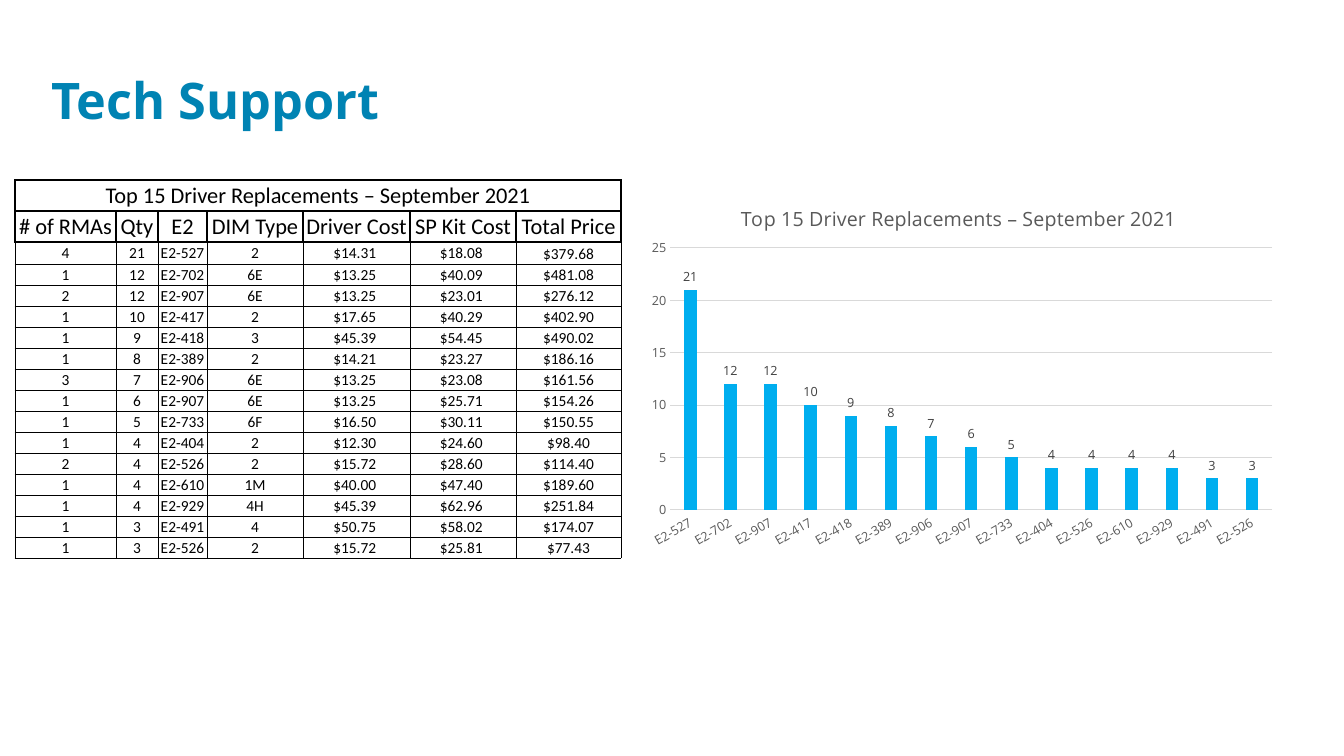
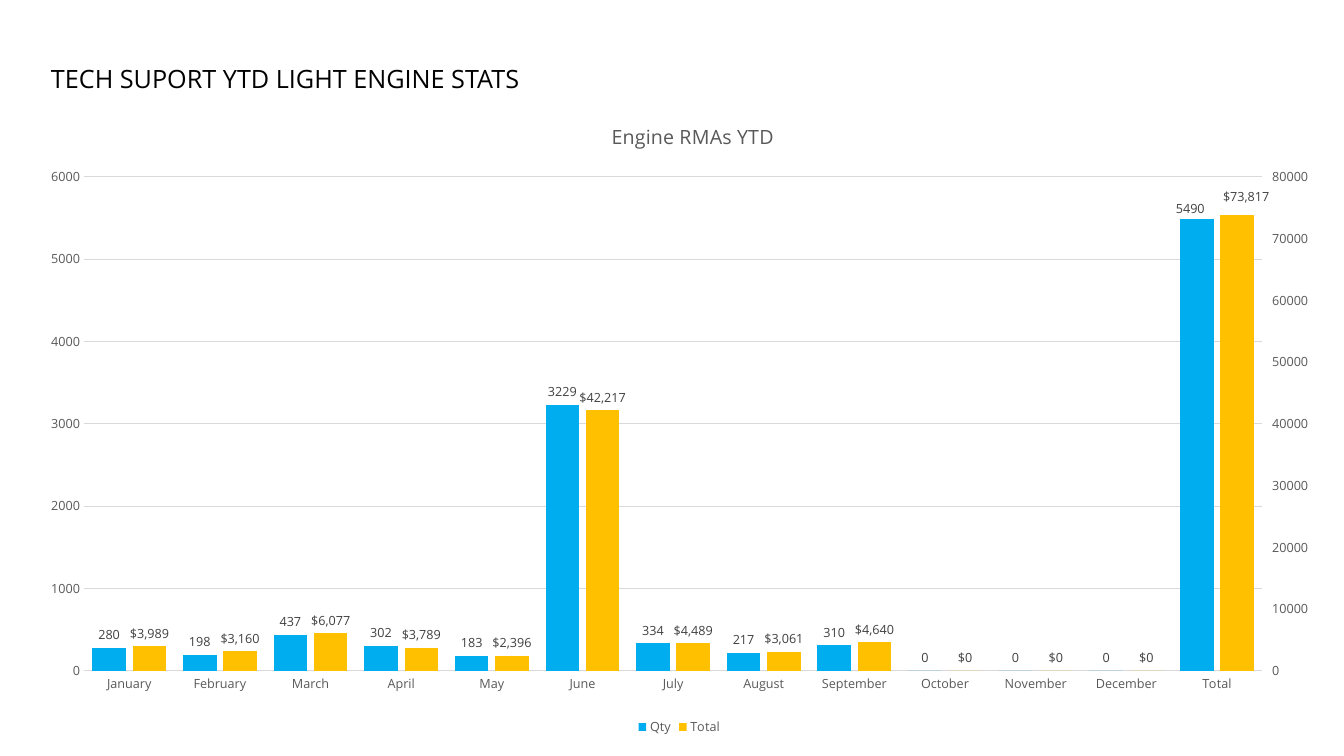
from copy import deepcopy

from pptx import Presentation
from pptx import util as u
from pptx.chart import axis as axes
from pptx.chart import data as chart_data
from pptx.dml.color import RGBColor
from pptx.enum import chart as kinds
from pptx.enum import text
from pptx.oxml import parse_xml
from pptx.oxml.ns import nsdecls, qn

SCALE = 914400 / 100.8
BLACK, TITLE_BLUE, GRAY, LABEL, GRID = "000000", "0083B3", "595959", "404040", "D9D9D9"
BLUE, PINK, YELLOW, GOLD = "00AEEF", "EA428A", "EED500", "FFC000"


def px(length):
    return u.Emu(round(length * SCALE))


def rgb(value):
    return RGBColor.from_string(value)


def set_font(font, size, color, name="Open Sans", bold=False):
    font.size, font.name, font.bold = u.Pt(size), name, bold
    font.color.rgb = rgb(color)


def write(frame, words, align=text.PP_ALIGN.LEFT, spacing=None, **style):
    para = frame.paragraphs[0]
    para.alignment = align
    if spacing:
        para.line_spacing = spacing
    span = para.add_run()
    span.text = words
    set_font(span.font, **style)


def set_borders(cell, top, other):
    props = cell._tc.get_or_add_tcPr()
    widths = {"lnL": other, "lnR": other, "lnT": top, "lnB": other}
    for index, (side, width) in enumerate(widths.items()):
        props.insert(index, parse_xml(
            f'<a:{side} {nsdecls("a")} w="{u.Pt(width)}"><a:solidFill>'
            f'<a:srgbClr val="{BLACK}"/></a:solidFill></a:{side}>'))


def set_layout(parent, index, **values):
    old = parent.find(qn("c:layout"))
    if old is not None:
        parent.remove(old)
    parts = "".join(f'<c:{key} val="{value}"/>' for key, value in values.items())
    parent.insert(index, parse_xml(
        f'<c:layout {nsdecls("c")}><c:manualLayout>{parts}</c:manualLayout></c:layout>'))


def relative(frame, left, top):
    return {"xMode": "edge", "yMode": "edge",
            "x": round((left - frame[0]) / frame[2], 4),
            "y": round((top - frame[1]) / frame[3], 4)}


class Deck:
    def __init__(self, width, height):
        self.deck = Presentation()
        self.deck.slide_width, self.deck.slide_height = u.Inches(width), u.Inches(height)

    def add_page(self, layout):
        self.page = self.deck.slides.add_slide(self.deck.slide_layouts.get_by_name(layout))

    def title(self, words, left, top, width, height):
        box = self.page.shapes.title
        box.left, box.top, box.width, box.height = map(px, (left, top, width, height))
        box.text_frame.vertical_anchor = text.MSO_ANCHOR.BOTTOM
        write(box.text_frame, words, spacing=0.8, size=36, color=TITLE_BLUE, bold=True)

    def label(self, words, left, top, width, height, size):
        box = self.page.shapes.add_textbox(*map(px, (left, top, width, height)))
        box.text_frame.word_wrap = True
        write(box.text_frame, words, size=size, color=BLACK)

    def table(self, rows, left, top, widths, heights):
        frame = self.page.shapes.add_table(
            len(rows), len(widths), *map(px, (left, top, sum(widths), sum(heights))))
        table = frame.table
        table.first_row = table.horz_banding = False
        for column, width in zip(table.columns, widths):
            column.width = px(width)
        for row, height in zip(table.rows, heights):
            row.height = px(height)
        for r, values in enumerate(rows):
            header = r < 2
            for c in range(len(widths)):
                cell = table.cell(r, c)
                cell.margin_left = cell.margin_right = cell.margin_top = px(1)
                cell.margin_bottom = 0
                bottom = not header and c == len(widths) - 1
                cell.vertical_anchor = text.MSO_ANCHOR.BOTTOM if bottom else text.MSO_ANCHOR.MIDDLE
                cell.fill.background()
                set_borders(cell, 1.5 if r < 3 else 0.5, 1.5 if header else 0.5)
                if c < len(values):
                    write(cell.text_frame, values[c], align=text.PP_ALIGN.CENTER,
                          size=16 if header else 11, color=BLACK, name="Calibri")
        table.cell(0, 0).merge(table.cell(0, len(widths) - 1))

    def chart(self, heading, frame, heading_at, plot_at, categories, series,
              gap, overlap, maximum, step):
        source = chart_data.CategoryChartData()
        source.categories = categories
        for name, values, color, label_format in series:
            source.add_series(name, values)
        chart = self.page.shapes.add_chart(
            kinds.XL_CHART_TYPE.COLUMN_CLUSTERED, *map(px, frame), source).chart
        set_font(chart.font, 10, BLACK)
        chart.has_legend = False
        chart.has_title = True
        write(chart.chart_title.text_frame, heading, align=text.PP_ALIGN.CENTER,
              size=14, color=GRAY)
        set_layout(chart.chart_title._element, 1, **relative(frame, *heading_at))
        left, top, width, height = plot_at
        set_layout(chart._chartSpace.chart.plotArea, 0, layoutTarget="inner",
                   **relative(frame, left, top),
                   w=round(width / frame[2], 4), h=round(height / frame[3], 4))
        plot = chart.plots[0]
        plot.gap_width, plot.overlap, plot.vary_by_categories = gap, overlap, False
        for bars, (name, values, color, label_format) in zip(plot.series, series):
            bars.invert_if_negative = False
            bars.format.fill.solid()
            bars.format.fill.fore_color.rgb = rgb(color)
            if label_format:
                labels = bars.data_labels
                labels.show_value = True
                labels.position = kinds.XL_LABEL_POSITION.OUTSIDE_END
                labels.number_format, labels.number_format_is_linked = label_format, False
                set_font(labels.font, 9, LABEL)
        for axis in (chart.category_axis, chart.value_axis):
            axis.major_tick_mark = axis.minor_tick_mark = kinds.XL_TICK_MARK.NONE
            set_font(axis.tick_labels.font, 9, GRAY)
        chart.value_axis.maximum_scale, chart.value_axis.minimum_scale = maximum, 0
        chart.value_axis.major_unit = step
        chart.value_axis.format.line.fill.background()
        chart.value_axis.has_major_gridlines = True
        for line in (chart.category_axis.format.line,
                     chart.value_axis.major_gridlines.format.line):
            line.color.rgb, line.width = rgb(GRID), u.Pt(0.75)
        return chart

    def legend(self, chart, hidden):
        chart.has_legend = True
        chart.legend.position = kinds.XL_LEGEND_POSITION.BOTTOM
        chart.legend.include_in_layout = False
        set_font(chart.legend.font, 9, GRAY)
        for place, index in enumerate(hidden, 1):
            chart.legend._element.insert(place, parse_xml(
                f'<c:legendEntry {nsdecls("c")}><c:idx val="{index}"/>'
                '<c:delete val="1"/></c:legendEntry>'))

    def shift_label(self, bars, index, x, y, label_format):
        label = bars.points[index].data_label
        label.position = kinds.XL_LABEL_POSITION.OUTSIDE_END
        set_font(label.font, 9, LABEL)
        element = bars.data_labels._element.find(qn("c:dLbl"))
        set_layout(element, 1, x=x, y=y)
        code = parse_xml(f'<c:numFmt {nsdecls("c")} sourceLinked="0"/>')
        code.set("formatCode", label_format)
        element.insert(2, code)

    def second_axis(self, chart, first, maximum, step):
        bars = chart.plots[0]._element
        right_bars = deepcopy(bars)
        bars.addnext(right_bars)
        for group, kept in ((bars, range(first)), (right_bars, range(first, 99))):
            for index, item in enumerate(group.findall(qn("c:ser"))):
                if index not in kept:
                    group.remove(item)
        ids = {chart.category_axis._element.find(qn("c:axId")).get("val"): "5001",
               chart.value_axis._element.find(qn("c:axId")).get("val"): "5002"}
        category = deepcopy(chart.category_axis._element)
        value = deepcopy(chart.value_axis._element)
        chart.value_axis._element.addnext(value)
        value.addnext(category)
        for element in (right_bars, category, value):
            for tag in ("c:axId", "c:crossAx"):
                for item in element.findall(qn(tag)):
                    item.set("val", ids[item.get("val")])
        axes.CategoryAxis(category).visible = False
        right = axes.ValueAxis(value)
        right.has_major_gridlines = False
        right.maximum_scale, right.major_unit = maximum, step
        right.major_tick_mark = kinds.XL_TICK_MARK.OUTSIDE
        value.find(qn("c:axPos")).set("val", "r")
        value.find(qn("c:crosses")).set("val", "max")

    def save(self):
        self.deck.save("out.pptx")


DRIVERS_HEADING = "Top 15 Driver Replacements – September 2021"
DRIVERS = [line.split() for line in """\
4 21 E2-527 2 14.31 18.08 379.68
1 12 E2-702 6E 13.25 40.09 481.08
2 12 E2-907 6E 13.25 23.01 276.12
1 10 E2-417 2 17.65 40.29 402.90
1 9 E2-418 3 45.39 54.45 490.02
1 8 E2-389 2 14.21 23.27 186.16
3 7 E2-906 6E 13.25 23.08 161.56
1 6 E2-907 6E 13.25 25.71 154.26
1 5 E2-733 6F 16.50 30.11 150.55
1 4 E2-404 2 12.30 24.60 98.40
2 4 E2-526 2 15.72 28.60 114.40
1 4 E2-610 1M 40.00 47.40 189.60
1 4 E2-929 4H 45.39 62.96 251.84
1 3 E2-491 4 50.75 58.02 174.07
1 3 E2-526 2 15.72 25.81 77.43""".splitlines()]
PERIODS = ["January", "February", "March", "April", "May", "June", "July", "August",
           "September", "October", "November", "December", "Total"]
QUANTITIES = [280, 198, 437, 302, 183, 3229, 334, 217, 310, 0, 0, 0, 5490]
TOTALS = [3989, 3160, 6077, 3789, 2396, 42217, 4489, 3061, 4640, 0, 0, 0, 73817]
PLAIN, DOLLARS = "General", '"$"#,##0'

show = Deck(13.33, 7.5)

show.add_page("Title Only")
show.title("Tech Support", 41, 33, 958, 101)
headers = ["# of RMAs", "Qty", "E2", "DIM Type", "Driver Cost", "SP Kit Cost", "Total Price"]
body = [row[:4] + [f"${row[4]} ", f"${row[5]} ", f"${row[6]}"] for row in DRIVERS]
show.table([[DRIVERS_HEADING], headers] + body, 15, 180,
           [101, 42, 49, 96, 107, 106, 105], [31, 31, 22] + [21] * 14)
drivers = show.chart(
    DRIVERS_HEADING, (638, 179, 647, 378), (737, 200), (670, 248, 602, 262),
    [row[2] for row in DRIVERS],
    [("Series 1", [int(row[1]) for row in DRIVERS], BLUE, PLAIN)],
    gap=219, overlap=-27, maximum=25, step=5)
drivers.category_axis._element.find(qn("c:txPr")).find(qn("a:bodyPr")).set("rot", "-1800000")

show.add_page("Blank")
show.label("TECH SUPORT YTD LIGHT ENGINE STATS", 41, 58, 580, 40, 18)
empty = [None] * len(PERIODS)
engines = show.chart(
    "Engine RMAs YTD", (25, 100, 1308, 640), (608, 118), (84, 177, 1178, 494), PERIODS,
    [("Qty", QUANTITIES, BLUE, PLAIN), ("Series 2", empty, PINK, None),
     ("Series 3", empty, YELLOW, None), ("Total", TOTALS, GOLD, DOLLARS)],
    gap=50, overlap=-20, maximum=6000, step=1000)
quantity, *_, total = engines.plots[0].series
show.shift_label(quantity, 12, -0.005, 0.005, PLAIN)
show.shift_label(total, 12, 0.007, -0.008, DOLLARS)
show.legend(engines, [1, 2])
show.second_axis(engines, 2, 80000, 10000)

show.save()
